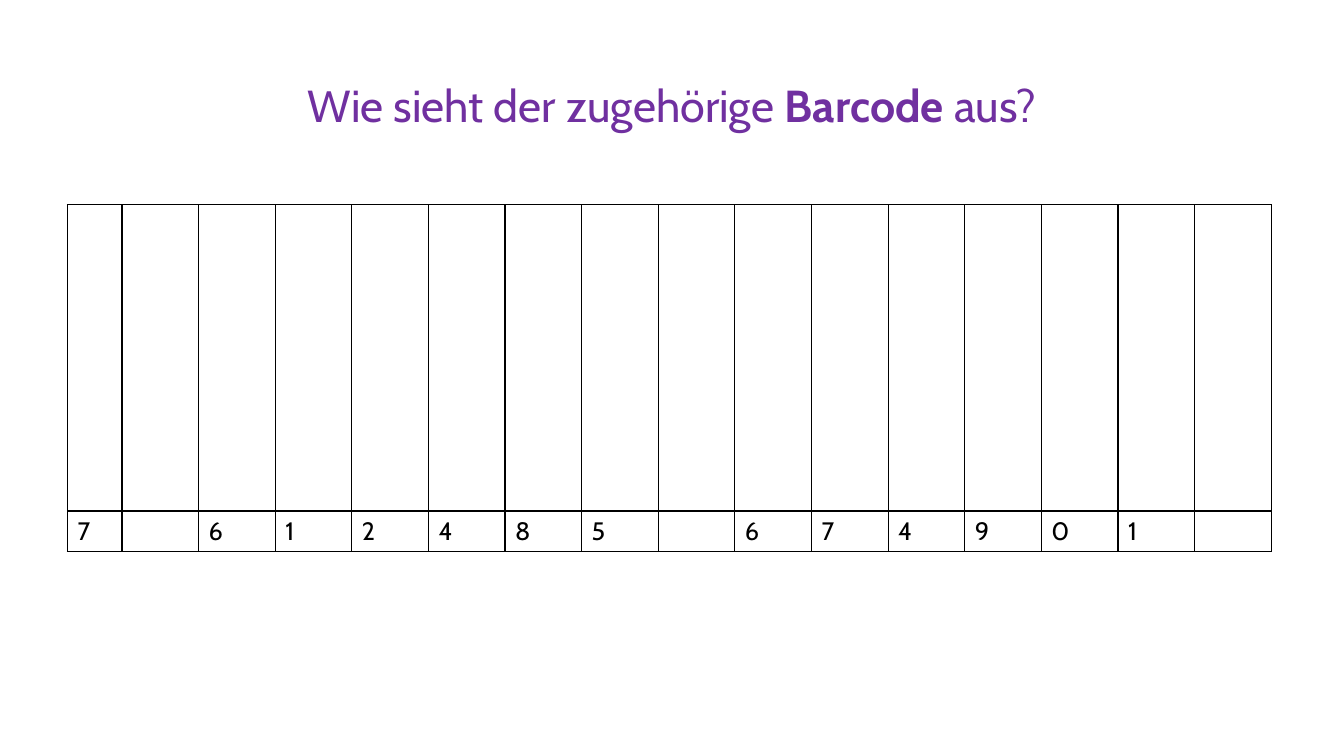
"""Build a slide with an empty barcode grid above the digits of an article number."""
from dataclasses import dataclass

from lxml import etree
from pptx import Presentation
from pptx import util as u
from pptx.dml.color import RGBColor
from pptx.enum import text
from pptx.oxml import ns

FONT = "Cabin"
BLACK = "000000"
PURPLE = "7030A0"
ROW_HEIGHTS = (3.04, 0.4)


@dataclass(frozen=True)
class TitlePart:
    wording: str
    bold: bool = False


@dataclass(frozen=True)
class BarcodeColumn:
    digit: str
    width: float = 0.76


TITLE_PARTS = (
    TitlePart("Wie sieht der zugehörige "),
    TitlePart("Barcode", bold=True),
    TitlePart(" aus?"),
)
COLUMNS = (
    BarcodeColumn("7", width=0.54),
    *(BarcodeColumn(digit.strip()) for digit in " 612485 674901 "),
)


def color(hex_value: str) -> RGBColor:
    return RGBColor.from_string(hex_value)


def style_font(font, size: float, hex_value: str, bold: bool = False) -> None:
    font.name = FONT
    font.size = u.Pt(size)
    font.bold = bold
    font.color.rgb = color(hex_value)


def add_borders(cell, hex_value: str, width: float) -> None:
    properties = cell._tc.get_or_add_tcPr()
    for position, side in enumerate(("lnL", "lnR", "lnT", "lnB")):
        line = etree.Element(ns.qn(f"a:{side}"), w=str(u.Pt(width)))
        fill = etree.SubElement(line, ns.qn("a:solidFill"))
        etree.SubElement(fill, ns.qn("a:srgbClr"), val=hex_value)
        properties.insert(position, line)


def format_title(title) -> None:
    title.left, title.top = u.Inches(2.82), u.Inches(0.72)
    title.width, title.height = u.Inches(7.69), u.Inches(0.64)
    frame = title.text_frame
    frame.word_wrap = True
    frame.auto_size = text.MSO_AUTO_SIZE.SHAPE_TO_FIT_TEXT
    frame.vertical_anchor = text.MSO_ANCHOR.TOP
    paragraph = frame.paragraphs[0]
    paragraph.alignment = text.PP_ALIGN.CENTER
    paragraph.line_spacing = 1.0
    paragraph.space_before = u.Pt(0)
    for part in TITLE_PARTS:
        run = paragraph.add_run()
        run.text = part.wording
        style_font(run.font, 32, PURPLE, part.bold)


def add_barcode_table(slide) -> None:
    table = slide.shapes.add_table(
        len(ROW_HEIGHTS), len(COLUMNS), u.Inches(0.67), u.Inches(2.03),
        u.Inches(sum(column.width for column in COLUMNS)),
        u.Inches(sum(ROW_HEIGHTS)),
    ).table
    table.first_row = False
    table.horz_banding = False
    for row, height in zip(table.rows, ROW_HEIGHTS):
        row.height = u.Inches(height)
    for index, column in enumerate(COLUMNS):
        table.columns[index].width = u.Inches(column.width)
        if column.digit:
            run = table.cell(1, index).text_frame.paragraphs[0].add_run()
            run.text = column.digit
            style_font(run.font, 18, BLACK)
    for cell in table.iter_cells():
        cell.fill.background()
        add_borders(cell, BLACK, 1)


def main() -> None:
    presentation = Presentation()
    presentation.slide_width = u.Inches(13.33)
    presentation.slide_height = u.Inches(7.5)
    slide = presentation.slides.add_slide(presentation.slide_layouts[5])
    format_title(slide.shapes.title)
    add_barcode_table(slide)
    presentation.save("out.pptx")


if __name__ == "__main__":
    main()
